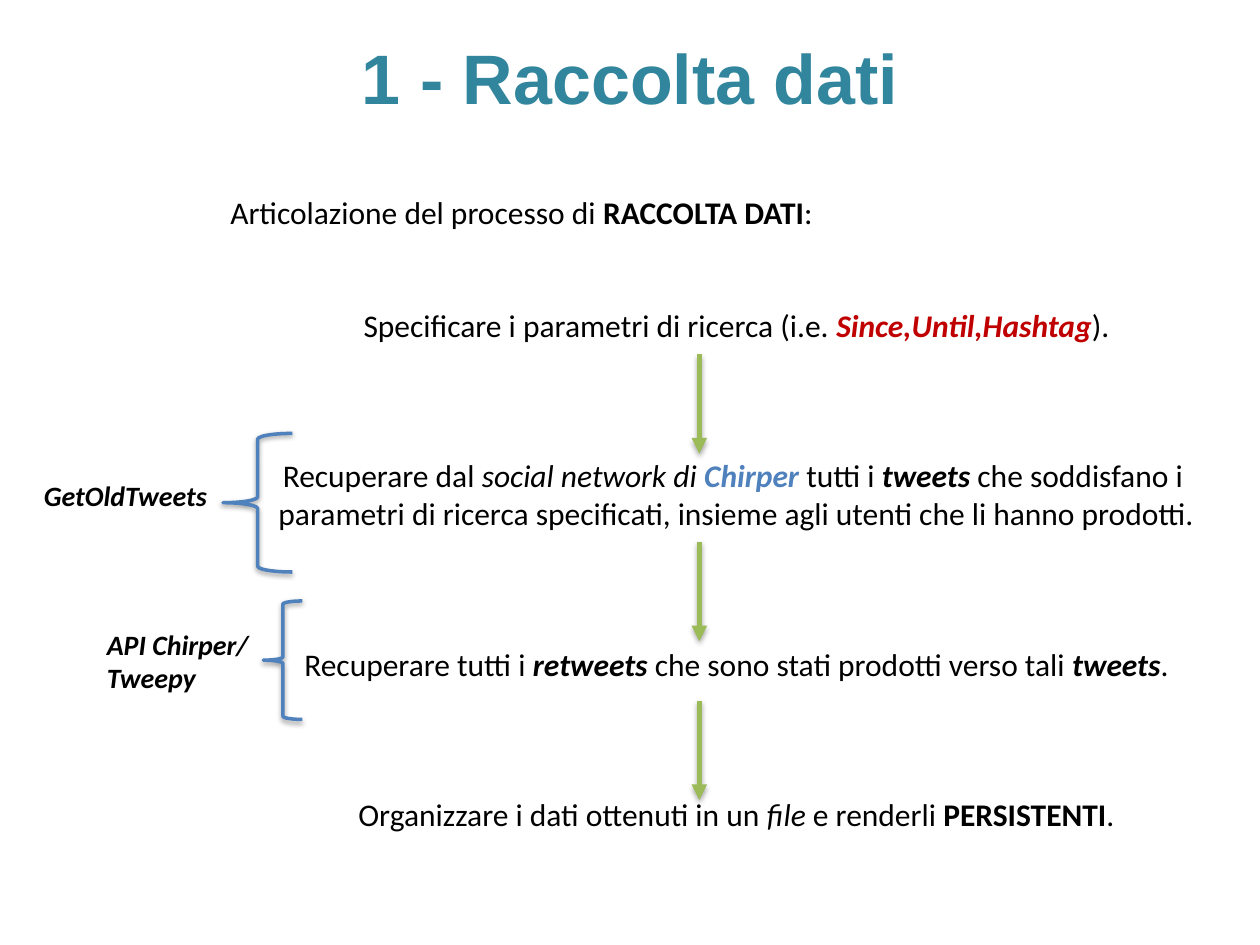
"""Builds the slide on the steps of data collection."""
import pptx
import pptx.dml.color
import pptx.enum.shapes
import pptx.enum.text
import pptx.oxml
import pptx.oxml.ns
import pptx.util

Inches = pptx.util.Inches
Pt = pptx.util.Pt
Align = pptx.enum.text.PP_ALIGN
Anchor = pptx.enum.text.MSO_ANCHOR


def color(code):
    return pptx.dml.color.RGBColor.from_string(code)


def write(para, text, size=18, font="Calibri", ink="000000", bold=False, slant=False):
    run = para.add_run()
    run.text = text
    run.font.size = Pt(size)
    run.font.name = font
    run.font.bold = bold
    run.font.italic = slant
    run.font.color.rgb = color(ink)


class Page:
    title = dict(size=40, font="Arial", ink="31859C", bold=True)
    label = dict(size=16, bold=True, slant=True)
    bold = dict(bold=True)
    slant = dict(slant=True)
    strong = dict(bold=True, slant=True)
    red = dict(strong, ink="C00000")
    blue = dict(strong, ink="4F81BD")
    green = "9BBB59"

    def __init__(self, deck):
        self.slide = deck.slides.add_slide(deck.slide_layouts[6])

    def text(self, left, top, width, height, paras, wrap=True, anchor=Anchor.TOP):
        box = self.slide.shapes.add_textbox(
            Inches(left), Inches(top), Inches(width), Inches(height))
        frame = box.text_frame
        frame.word_wrap = wrap
        frame.vertical_anchor = anchor
        for num, (align, gap, runs) in enumerate(paras):
            para = frame.add_paragraph() if num else frame.paragraphs[0]
            para.alignment = align
            para.space_before = Pt(gap)
            for words, style in runs:
                write(para, words, **style)

    def shade(self, shape, alpha, dist):
        space = pptx.oxml.ns.nsdecls("a")
        shape._element.spPr.append(pptx.oxml.parse_xml(
            f'<a:effectLst {space}><a:outerShdw blurRad="{Pt(3.1)}" dist="{Pt(dist)}" '
            f'dir="5400000" rotWithShape="0"><a:srgbClr val="000000">'
            f'<a:alpha val="{alpha * 1000}"/></a:srgbClr></a:outerShdw></a:effectLst>'))

    def arrow(self, x, top, length):
        line = self.slide.shapes.add_connector(
            pptx.enum.shapes.MSO_CONNECTOR.STRAIGHT,
            Inches(x), Inches(top), Inches(x), Inches(top + length))
        line.line.color.rgb = color(self.green)
        line.line.width = Pt(3)
        space = pptx.oxml.ns.nsdecls("a")
        line.line._get_or_add_ln().append(
            pptx.oxml.parse_xml(f'<a:tailEnd {space} type="triangle"/>'))
        self.shade(line, 35, 1.8)

    def brace(self, left, top, width, height):
        shape = self.slide.shapes.add_shape(
            pptx.enum.shapes.MSO_SHAPE.LEFT_BRACE,
            Inches(left), Inches(top), Inches(width), Inches(height))
        shape.fill.background()
        shape.line.color.rgb = color(self.blue["ink"])
        shape.line.width = Pt(2)
        self.shade(shape, 38, 1.6)


def main():
    deck = pptx.Presentation()
    deck.slide_width, deck.slide_height = Inches(10), Inches(7.5)
    page = Page(deck)
    left, mid = Align.LEFT, Align.CENTER
    step = 64.5

    page.text(0, 0.02, 10, 1.17, [(mid, 0, [("1 - Raccolta dati", page.title)])],
              anchor=Anchor.MIDDLE)
    page.text(1.73, 1.48, 8.23, 5.86, [
        (left, 0, [("Articolazione del processo di ", {}),
                   ("RACCOLTA DATI", page.bold), (":", {})]),
        (mid, 43, [("Specificare i parametri di ricerca (i.e. ", {}),
                   ("Since,Until,Hashtag", page.red), (").", {})]),
        (mid, step, [("Recuperare dal ", {}), ("social network di ", page.slant),
                     ("Chirper ", page.blue), ("tutti i ", {}),
                     ("tweets ", page.strong), ("che soddisfano i ", {})]),
        (mid, 0, [("parametri di ricerca specificati, insieme agli utenti "
                   "che li hanno prodotti.", {})]),
        (mid, step, [("Recuperare tutti i ", {}), ("retweets ", page.strong),
                     ("che sono stati prodotti verso tali ", {}),
                     ("tweets", page.strong), (".", {})]),
        (mid, step, [("Organizzare i dati ottenuti in un ", {}), ("file ", page.slant),
                     ("e renderli ", {}), ("PERSISTENTI", page.bold), (".", {})]),
    ])

    for top in (2.81, 4.3, 5.56):
        page.arrow(5.55, top, 0.79)
    page.brace(1.77, 3.44, 0.55, 1.1)
    page.brace(2.09, 4.77, 0.31, 0.94)

    page.text(0.25, 3.75, 1.52, 0.37, [(left, 0, [("GetOldTweets", page.label)])],
              wrap=False)
    page.text(0.75, 4.93, 1.33, 0.64, [(left, 0, [(words, page.label)])
                                       for words in ("API Chirper/", "Tweepy")],
              wrap=False)
    deck.save("out.pptx")


if __name__ == "__main__":
    main()
